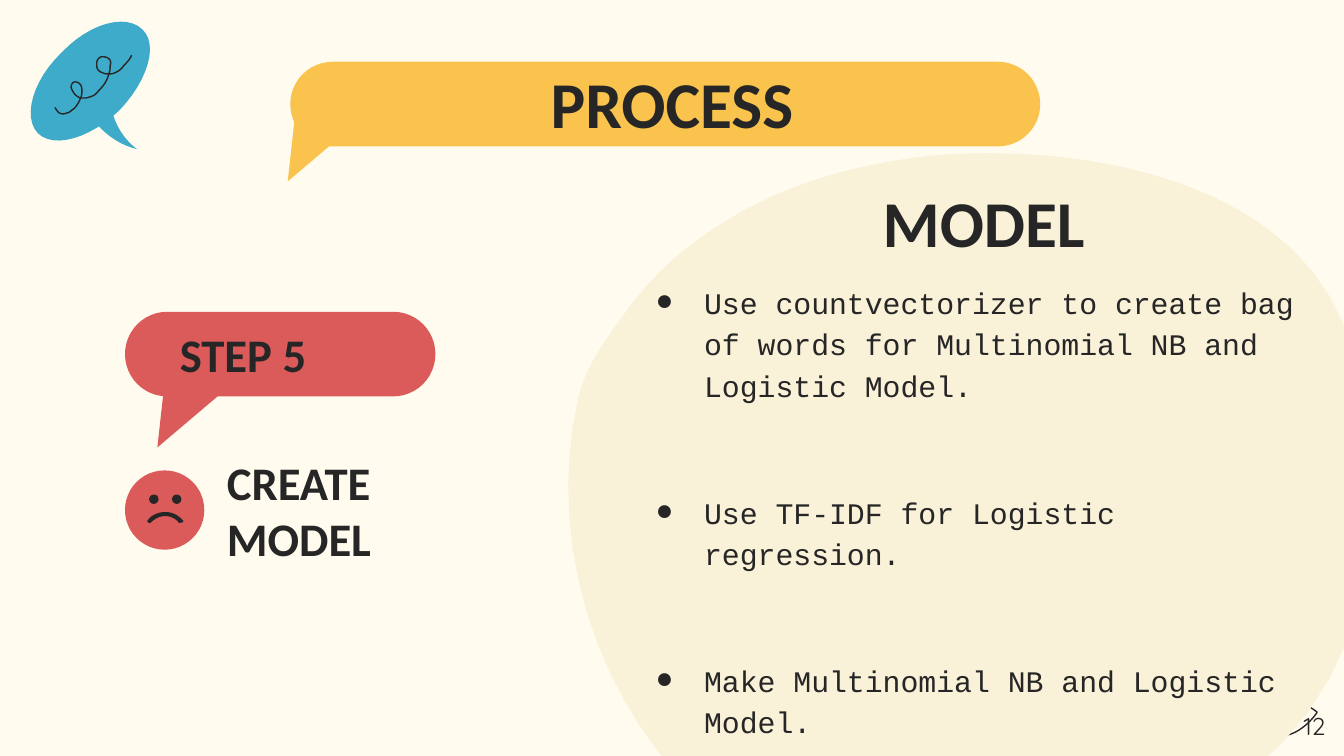
from dataclasses import dataclass

from lxml import etree
from pptx import Presentation
from pptx import util as u
from pptx.dml import color
from pptx.enum import shapes, text
from pptx.oxml import ns

PX = 9144
SLIDE_WIDTH = 1000 * PX
SLIDE_HEIGHT = SLIDE_WIDTH * 9 // 16
STEPS = 12


@dataclass(frozen=True)
class Theme:
    paper: str = "FFFBEE"
    ink: str = "262626"
    blue: str = "3DABC9"
    yellow: str = "FAC34D"
    red: str = "DB5A5A"
    sand: str = "FAF1D9"
    heading_font: str = "Calibri"
    body_font: str = "Courier New"
    number_font: str = "Quicksand"
    title: float = 35
    label: float = 25
    body: float = 16
    number: float = 13
    bullet_gap: float = 46
    stroke: float = 0.75


THEME = Theme()


@dataclass(frozen=True)
class Box:
    left: int
    top: int
    width: int
    height: int

    def emu(self) -> list[u.Emu]:
        return [u.Emu(v * PX) for v in (self.left, self.top, self.width, self.height)]


@dataclass(frozen=True)
class Outline:
    start: tuple[int, int]
    segments: list[tuple[int, ...]]
    colour: str
    filled: bool = True


@dataclass(frozen=True)
class Preset:
    kind: shapes.MSO_SHAPE
    box: Box
    colour: str
    rotation: float = 0


@dataclass(frozen=True)
class Label:
    box: Box
    lines: list[str]
    size: float
    font: str = THEME.heading_font
    bold: bool = True
    align: text.PP_ALIGN = text.PP_ALIGN.LEFT
    anchor: text.MSO_ANCHOR = text.MSO_ANCHOR.MIDDLE
    bulleted: bool = False


def rgb(value: str) -> color.RGBColor:
    return color.RGBColor.from_string(value)


def trace(outline: Outline) -> list[tuple[float, float]]:
    points = [outline.start]
    for segment in outline.segments:
        if len(segment) == 2:
            points.append(segment)
            continue
        x0, y0 = points[-1]
        x1, y1, x2, y2, x3, y3 = segment
        for step in range(1, STEPS + 1):
            t = step / STEPS
            a, b, c, d = (1 - t) ** 3, 3 * t * (1 - t) ** 2, 3 * t * t * (1 - t), t ** 3
            points.append((a * x0 + b * x1 + c * x2 + d * x3,
                           a * y0 + b * y1 + c * y2 + d * y3))
    return [(x * PX, y * PX) for x, y in points]


def draw_outline(slide, outline: Outline) -> None:
    first, *rest = trace(outline)
    builder = slide.shapes.build_freeform(*first, scale=1.0)
    builder.add_line_segments(rest, close=outline.filled)
    figure = builder.convert_to_shape()
    figure.shadow.inherit = False
    if outline.filled:
        figure.fill.solid()
        figure.fill.fore_color.rgb = rgb(outline.colour)
        figure.line.fill.background()
    else:
        figure.fill.background()
        figure.line.color.rgb = rgb(outline.colour)
        figure.line.width = u.Pt(THEME.stroke)


def draw_preset(slide, preset: Preset) -> None:
    figure = slide.shapes.add_shape(preset.kind, *preset.box.emu())
    figure.shadow.inherit = False
    figure.fill.solid()
    figure.fill.fore_color.rgb = rgb(preset.colour)
    figure.line.fill.background()
    figure.rotation = preset.rotation
    if preset.kind == shapes.MSO_SHAPE.ROUNDED_RECTANGLE:
        figure.adjustments[0] = 0.5
    if preset.kind == shapes.MSO_SHAPE.RIGHT_TRIANGLE:
        figure.element.spPr.find(ns.qn("a:xfrm")).set("flipH", "1")


def draw_bubble(slide, body: Box, tail: Box, colour: str) -> None:
    draw_preset(slide, Preset(shapes.MSO_SHAPE.ROUNDED_RECTANGLE, body, colour))
    draw_preset(slide, Preset(shapes.MSO_SHAPE.RIGHT_TRIANGLE, tail, colour, 186.3))


def add_bullet(paragraph) -> None:
    properties = paragraph._p.get_or_add_pPr()
    properties.set("marL", str(50 * PX))
    properties.set("indent", str(-36 * PX))
    bullet_colour = etree.SubElement(properties, ns.qn("a:buClr"))
    etree.SubElement(bullet_colour, ns.qn("a:srgbClr")).set("val", THEME.ink)
    etree.SubElement(properties, ns.qn("a:buFont")).set("typeface", THEME.body_font)
    etree.SubElement(properties, ns.qn("a:buChar")).set("char", "●")


def draw_label(slide, label: Label) -> None:
    frame = slide.shapes.add_textbox(*label.box.emu()).text_frame
    frame.word_wrap = True
    frame.vertical_anchor = label.anchor
    frame.margin_left = frame.margin_right = u.Emu(10 * PX)
    frame.margin_top = frame.margin_bottom = u.Emu(10 * PX)
    frame.text = "\n".join(label.lines)
    for index, paragraph in enumerate(frame.paragraphs):
        paragraph.alignment = label.align
        if label.bulleted:
            add_bullet(paragraph)
            paragraph.line_spacing = 1.15
            paragraph.space_before = u.Pt(THEME.bullet_gap if index else 0)
        for run in paragraph.runs:
            run.font.size = u.Pt(label.size)
            run.font.name = label.font
            run.font.bold = label.bold
            run.font.color.rgb = rgb(THEME.ink)


EYE = Outline((948, 520), [
    (964, 518, 978, 528, 980, 530), (979, 532, 970, 544, 958, 547),
    (942, 548, 928, 538, 925, 536), (927, 534, 936, 523, 948, 520)], THEME.ink, False)
THOUGHT = Outline((46, 39), [
    (24, 60, 17, 87, 28, 99), (40, 111, 67, 103, 89, 82),
    (110, 60, 118, 33, 106, 22), (94, 10, 67, 17, 46, 39)], THEME.blue)
THOUGHT_TAIL = Outline((63, 78), [
    (70, 94, 85, 107, 102, 111), (87, 100, 80, 81, 82, 63)], THEME.blue)
SCRIBBLE = Outline((41, 80), [
    (42, 82, 43, 83, 44, 84), (46, 85, 48, 85, 50, 84), (52, 84, 53, 82, 55, 81),
    (57, 79, 59, 76, 60, 73), (61, 71, 61, 69, 61, 68), (61, 66, 61, 65, 60, 63),
    (59, 62, 58, 61, 56, 61), (54, 61, 53, 63, 53, 65), (54, 69, 57, 72, 60, 73),
    (62, 73, 63, 73, 64, 73), (68, 72, 71, 71, 73, 68), (77, 64, 80, 60, 81, 55),
    (82, 53, 82, 51, 82, 49), (83, 46, 82, 44, 80, 43), (78, 42, 75, 42, 74, 43),
    (72, 45, 72, 46, 72, 48), (72, 51, 73, 53, 76, 54), (78, 55, 79, 55, 81, 55),
    (83, 55, 84, 55, 86, 54), (88, 53, 90, 52, 92, 49), (94, 47, 97, 44, 98, 41)],
    THEME.ink, False)
BLOB = Outline((738, 114), [
    (716, 114, 695, 115, 676, 118), (625, 125, 575, 141, 533, 169),
    (509, 184, 488, 203, 471, 225), (456, 245, 437, 270, 431, 293),
    (409, 383, 432, 486, 491, 561), (505, 579, 521, 595, 539, 607), (876, 607),
    (906, 593, 932, 575, 955, 552), (1034, 469, 1046, 317, 989, 220),
    (943, 142, 833, 114, 738, 114)], THEME.sand)
FROWN = Outline((123, 381), [
    (118, 381, 113, 383, 110, 387), (109, 388, 110, 389, 111, 389), (112, 389),
    (115, 386, 119, 384, 123, 384), (127, 384, 131, 386, 133, 389), (134, 389),
    (136, 389, 137, 388, 136, 387), (132, 383, 128, 381, 123, 381)], THEME.ink)
FACE = [Preset(shapes.MSO_SHAPE.OVAL, Box(93, 350, 59, 59), THEME.red)] + [
    Preset(shapes.MSO_SHAPE.OVAL, Box(left, 368, 7, 7), THEME.ink) for left in (111, 128)]
LABELS = [
    Label(Box(78, 58, 844, 36), ["PROCESS"], THEME.title, align=text.PP_ALIGN.CENTER),
    Label(Box(464, 198, 518, 375), [
        "Use countvectorizer to create bag of words for Multinomial NB and Logistic Model.",
        "Use TF-IDF for Logistic regression.",
        "Make Multinomial NB and Logistic Model."],
        THEME.body, THEME.body_font, False, anchor=text.MSO_ANCHOR.TOP, bulleted=True),
    Label(Box(936, 519, 60, 43), ["12"], THEME.number, THEME.number_font, False,
          text.PP_ALIGN.RIGHT, text.MSO_ANCHOR.TOP),
    Label(Box(159, 363, 179, 33), ["CREATE MODEL"], THEME.label),
    Label(Box(124, 250, 179, 27), ["STEP 5"], THEME.label),
    Label(Box(310, 147, 844, 36), ["MODEL"], THEME.title, align=text.PP_ALIGN.CENTER),
]


def main() -> None:
    deck = Presentation()
    deck.slide_width, deck.slide_height = u.Emu(SLIDE_WIDTH), u.Emu(SLIDE_HEIGHT)
    slide = deck.slides.add_slide(deck.slide_layouts[6])
    slide.background.fill.solid()
    slide.background.fill.fore_color.rgb = rgb(THEME.paper)
    for outline in (EYE, THOUGHT, THOUGHT_TAIL, SCRIBBLE):
        draw_outline(slide, outline)
    draw_bubble(slide, Box(216, 46, 558, 63), Box(217, 82, 53, 56), THEME.yellow)
    draw_outline(slide, BLOB)
    draw_bubble(slide, Box(93, 232, 231, 63), Box(120, 280, 53, 56), THEME.red)
    for part in FACE:
        draw_preset(slide, part)
    draw_outline(slide, FROWN)
    for label in LABELS:
        draw_label(slide, label)
    deck.save("out.pptx")


if __name__ == "__main__":
    main()
